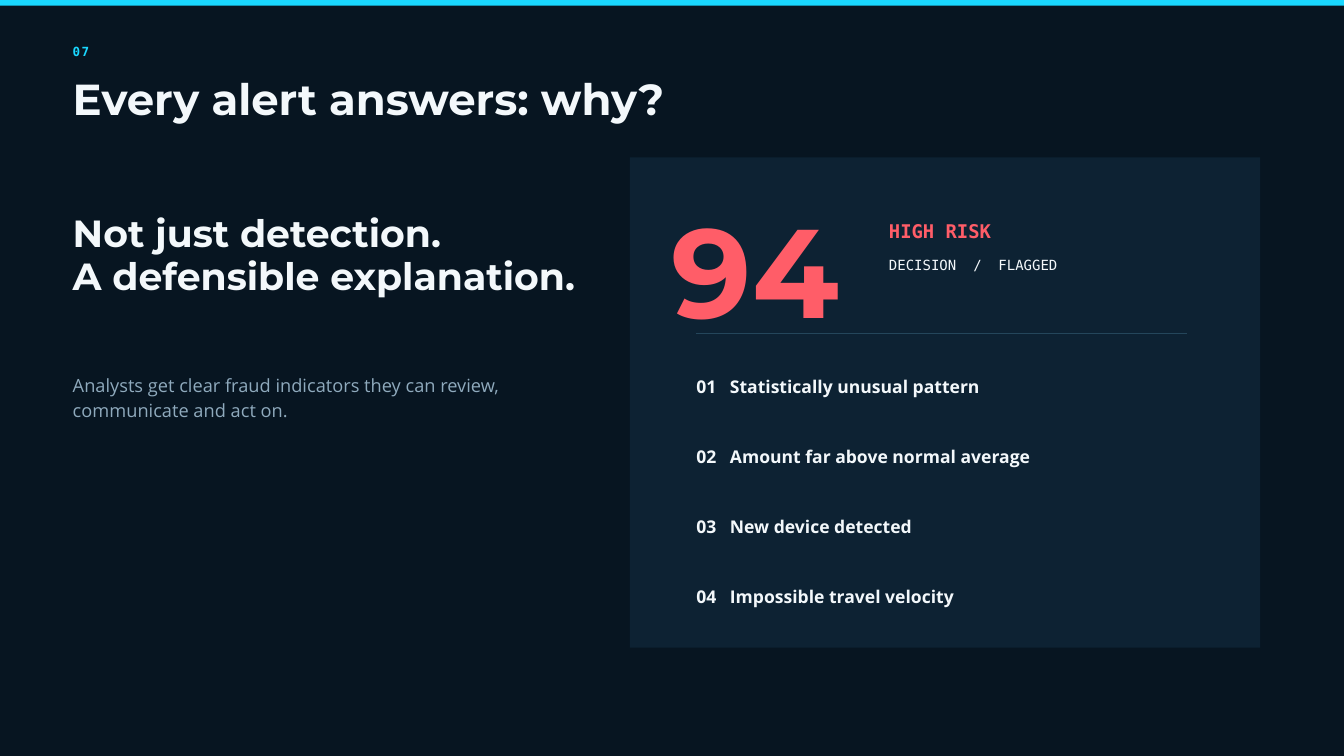
import pptx
import pptx.dml.color
import pptx.enum.shapes
import pptx.oxml.ns
import pptx.util
from lxml import etree
from pptx.util import Cm

COLORS = {
    "background": "071521",
    "card": "0D2233",
    "accent": "19D7FF",
    "text": "F3F8FB",
    "muted": "8FAABD",
    "risk": "FF5D68",
    "divider": "24465B",
}
HEADING = "Montserrat"
BODY = "Open Sans"
MONO = "DejaVu Sans Mono"

INDICATORS = [
    "Statistically unusual pattern",
    "Amount far above normal average",
    "New device detected",
    "Impossible travel velocity",
]
MARGIN = 2.75
CARD_LEFT = 23.81
CARD_RIGHT = 47.63
INNER_LEFT = 26.32
INNER_RIGHT = 44.85
VERDICT_LEFT = 33.6
INDICATOR_TOP = 14.07
INDICATOR_STEP = 2.65


def color(name):
    return pptx.dml.color.RGBColor.from_string(COLORS[name])


def add_tabs(para, stops):
    properties = para._p.get_or_add_pPr()
    tabs = etree.SubElement(properties, pptx.oxml.ns.qn("a:tabLst"))
    for stop in stops:
        etree.SubElement(tabs, pptx.oxml.ns.qn("a:tab"), pos=str(Cm(stop)), algn="l")


def add_text(page, place, lines, font, size, leading, fill="text",
             bold=True, spacing=0, tabs=()):
    box = page.shapes.add_textbox(*map(Cm, place))
    frame = box.text_frame
    frame.word_wrap = True
    frame.margin_left = frame.margin_top = 0
    frame.margin_right = frame.margin_bottom = 0
    for index, line in enumerate(lines):
        para = frame.add_paragraph() if index else frame.paragraphs[0]
        if tabs:
            add_tabs(para, tabs)
        para.line_spacing = pptx.util.Pt(leading)
        span = para.add_run()
        span.text = line
        span.font.name = font
        span.font.size = pptx.util.Pt(size)
        span.font.bold = bold
        span.font.color.rgb = color(fill)
        if spacing:
            span._r.get_or_add_rPr().set("spc", str(spacing))


def add_panel(page, place, fill):
    panel = page.shapes.add_shape(
        pptx.enum.shapes.MSO_SHAPE.RECTANGLE, *map(Cm, place))
    panel.shadow.inherit = False
    panel.fill.solid()
    panel.fill.fore_color.rgb = color(fill)
    panel.line.fill.background()


def add_divider(page, left, right, height):
    line = page.shapes.add_connector(
        pptx.enum.shapes.MSO_CONNECTOR.STRAIGHT,
        Cm(left), Cm(height), Cm(right), Cm(height))
    line.line.color.rgb = color("divider")
    line.line.width = pptx.util.Pt(1.12)
    etree.SubElement(line._element.spPr, pptx.oxml.ns.qn("a:effectLst"))


def add_message(page):
    add_text(page, (MARGIN, 1.55, 2.64, 0.64), ["07"], MONO, 13.5, 18.9,
             "accent", spacing=160)
    add_text(page, (MARGIN, 2.92, 35.7, 1.78), ["Every alert answers: why?"],
             HEADING, 46.5, 50.2)
    add_text(page, (MARGIN, 8.05, 19.05, 3.18),
             ["Not just detection.", "A defensible explanation."],
             HEADING, 40.5, 45.4)
    add_text(page, (MARGIN, 14.05, 18.26, 1.85),
             ["Analysts get clear fraud indicators they can review, "
              "communicate and act on."],
             BODY, 19.5, 26.3, "muted", bold=False)


def add_risk_card(page):
    add_panel(page, (CARD_LEFT, 5.95, CARD_RIGHT - CARD_LEFT, 18.53), "card")
    add_text(page, (25.4, 6.32, 7.94, 6.25), ["94"], HEADING, 135, 189, "risk")
    add_text(page, (VERDICT_LEFT, 8.15, 10.06, 0.94), ["HIGH RISK"],
             MONO, 20.2, 28.4, "risk")
    add_text(page, (VERDICT_LEFT, 9.6, 11.38, 0.69), ["DECISION\t/\tFLAGGED"],
             MONO, 15, 21, bold=False, tabs=(3.19, 4.14))
    add_divider(page, INNER_LEFT, INNER_RIGHT, 12.6)
    for index, indicator in enumerate(INDICATORS):
        top = INDICATOR_TOP + index * INDICATOR_STEP
        add_text(page, (INNER_LEFT, top, INNER_RIGHT - INNER_LEFT, 0.86),
                 [f"{index + 1:02d}\t{indicator}"], BODY, 18.8, 26.2,
                 tabs=(1.27,))


def main():
    deck = pptx.Presentation()
    deck.slide_width = Cm(50.8)
    deck.slide_height = Cm(28.575)
    page = deck.slides.add_slide(deck.slide_layouts[6])
    page.background.fill.solid()
    page.background.fill.fore_color.rgb = color("background")
    add_panel(page, (0, 0, 50.8, 0.21), "accent")
    add_message(page)
    add_risk_card(page)
    deck.save("out.pptx")


if __name__ == "__main__":
    main()
